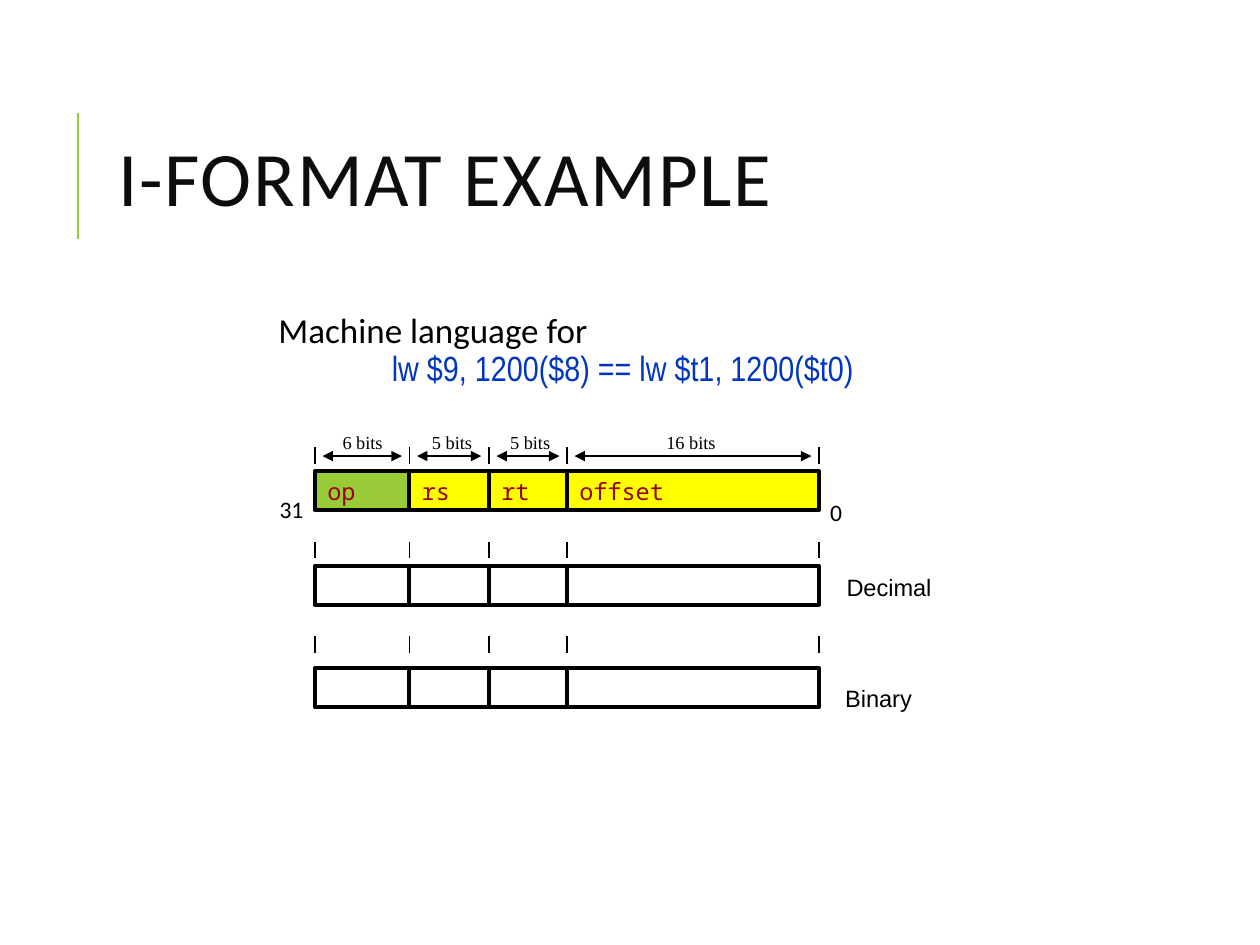
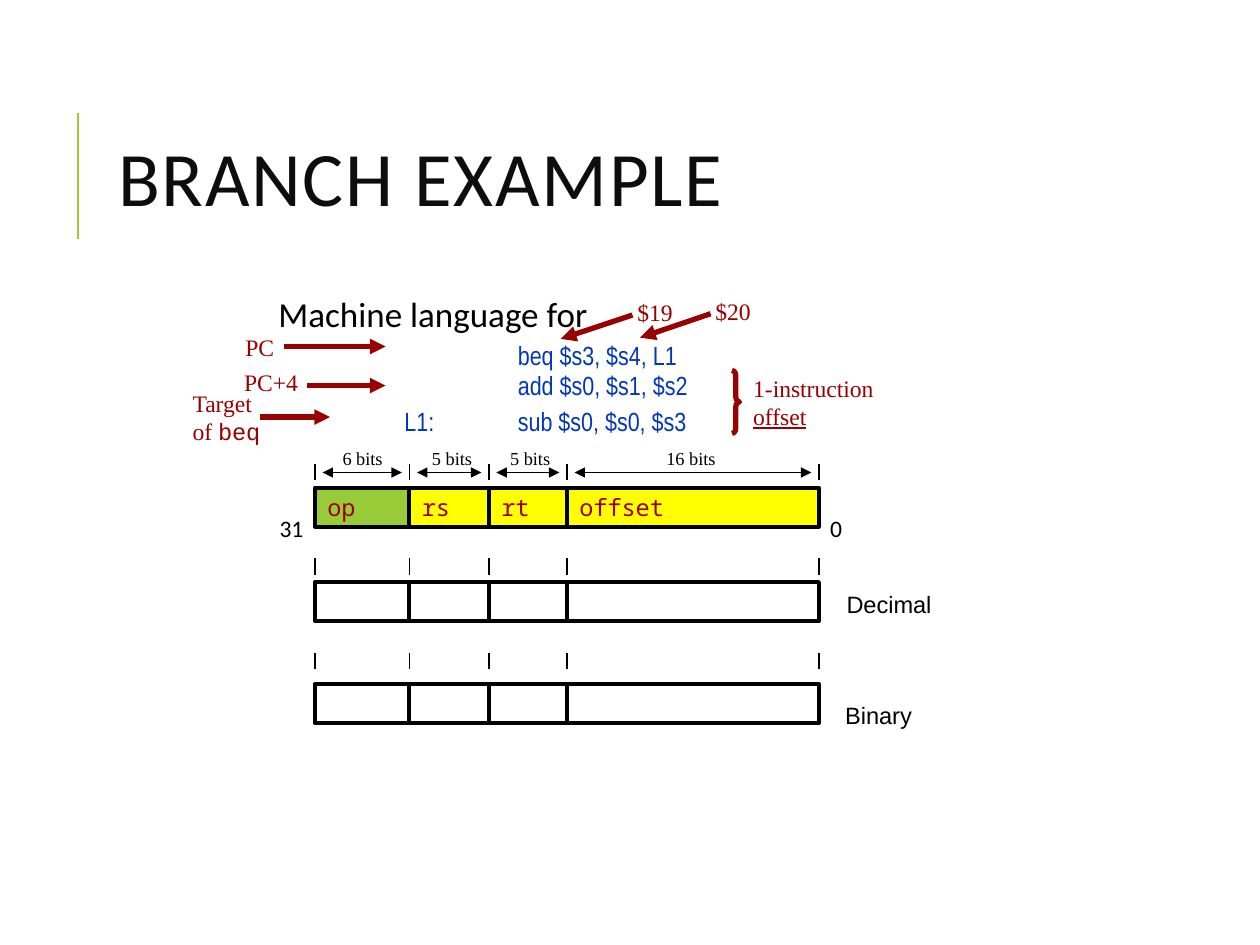
from dataclasses import dataclass
from itertools import pairwise

from lxml.etree import SubElement
from pptx import Presentation
from pptx.dml.color import RGBColor
from pptx.enum.shapes import MSO_CONNECTOR as Connector, MSO_SHAPE as Preset
from pptx.enum.text import MSO_ANCHOR as Anchor, PP_ALIGN as Align
from pptx.oxml.ns import qn
from pptx.util import Inches, Pt

BLACK, WHITE, GREEN, YELLOW = "000000", "FFFFFF", "99CB38", "FFFF00"
TITLE_INK, CODE_BLUE, RED = "0D0D0D", "0237BC", "990000"
SERIF, MONO, NARROW, BODY = "Times New Roman", "Noto Sans Mono", "Arial Narrow", "Calibri"
CELL_HEIGHT = 0.31
TICK_ROW_GAP = 0.75


@dataclass(frozen=True)
class Field:
    """One bit field of the instruction word."""
    name: str
    bits: str
    left: float
    right: float
    bits_left: float
    bits_width: float = 0.52
    fill: str = YELLOW


@dataclass(frozen=True)
class Run:
    """A piece of a line that departs from the line's format."""
    text: str
    font: str | None = None
    underline: bool = False


@dataclass(frozen=True)
class CodeLine:
    """A line of assembly with its indent and exact line pitch."""
    text: str
    size: float
    pitch: float
    margin: float
    hanging: float = 0


@dataclass(frozen=True)
class Callout:
    """A red note and the arrow that leaves it."""
    lines: list
    box: tuple[float, float, float, float]
    start: tuple[float, float]
    end: tuple[float, float]


FIELDS = [
    Field("op", "6 bits", 2.5, 3.25, 2.62, fill=GREEN),
    Field("rs", "5 bits", 3.25, 3.88, 3.33),
    Field("rt", "5 bits", 3.88, 4.5, 3.95),
    Field("offset", "16 bits", 4.5, 6.5, 5.19, 0.62),
]
EDGES = [field.left for field in FIELDS] + [FIELDS[-1].right]

LOAD_CODE = [CodeLine("lw $9, 1200($8) == lw $t1, 1200($t0)", 20, 21.2, 1)]
BRANCH_CODE = [
    CodeLine("beq $s3, $s4, L1", 15, 20.2, 2),
    CodeLine("add $s0, $s1, $s2", 15, 17.1, 2),
    CodeLine("L1:\tsub $s0, $s0, $s3", 15, 20.6, 2, 0.9),
]
CALLOUTS = [
    Callout(["$19"], (4.96, 2.31, 0.49, 0.33), (5.02, 2.5), (4.45, 2.69)),
    Callout(["$20"], (5.58, 2.3, 0.49, 0.33), (5.64, 2.49), (5.08, 2.68)),
    Callout(["PC"], (1.85, 2.59, 0.43, 0.33), (2.25, 2.75), (3.06, 2.75)),
    Callout(["PC+4"], (1.84, 2.87, 0.64, 0.33), (2.44, 3.06), (3.06, 3.06)),
    Callout(["Target", [Run("of "), Run("beq", "Courier New")]],
            (1.43, 3.03, 0.75, 0.56), (2.06, 3.31), (2.62, 3.31)),
]


def colour(value: str) -> RGBColor:
    """Turn a hex string into a colour."""
    return RGBColor.from_string(value)


def write(frame, lines: list, *, size: float, font: str = BODY, ink: str = BLACK,
          anchor=Anchor.TOP, wrap: bool = False, spacing=None, tracking: int = 0) -> None:
    """Fill a text frame with left-aligned lines, each a string or a list of runs."""
    frame.word_wrap = wrap
    frame.vertical_anchor = anchor
    for number, line in enumerate(lines):
        paragraph = frame.add_paragraph() if number else frame.paragraphs[0]
        paragraph.alignment = Align.LEFT
        if spacing:
            paragraph.line_spacing = spacing
        for part in [Run(line)] if isinstance(line, str) else line:
            run = paragraph.add_run()
            run.text = part.text
            run.font.name = part.font or font
            run.font.size = Pt(size)
            run.font.color.rgb = colour(ink)
            if part.underline:
                run.font.underline = True
            if tracking:
                run.font._element.set("spc", str(tracking))


def label(slide, box: tuple[float, float, float, float], lines: list, **style):
    """Add a text box and return its frame."""
    frame = slide.shapes.add_textbox(*map(Inches, box)).text_frame
    write(frame, lines, **style)
    return frame


def line(slide, start: tuple[float, float], end: tuple[float, float], ink: str = BLACK,
         weight: float = 1, arrows: tuple[str, ...] = ()) -> None:
    """Draw a straight line with optional arrowheads."""
    link = slide.shapes.add_connector(Connector.STRAIGHT, *map(Inches, start + end))
    link.line.color.rgb = colour(ink)
    link.line.width = Pt(weight)
    outline = link.line._get_or_add_ln()
    for tag in arrows:
        SubElement(outline, qn(f"a:{tag}"), type="triangle")
    SubElement(link._element.spPr, qn("a:effectLst"))


def cell(slide, field: Field, top: float, fill: str):
    """Draw one bordered cell of the instruction word."""
    box = (field.left, top, field.right - field.left, CELL_HEIGHT)
    shape = slide.shapes.add_shape(Preset.RECTANGLE, *map(Inches, box))
    shape.shadow.inherit = False
    shape.fill.solid()
    shape.fill.fore_color.rgb = colour(fill)
    shape.line.color.rgb = colour(BLACK)
    shape.line.width = Pt(2.25)
    return shape


def instruction_word(slide, top: float, first_bit_top: float, last_bit_top: float) -> None:
    """Draw the named fields with bit widths, and the decimal and binary rows below."""
    for field in FIELDS:
        named = cell(slide, field, top, field.fill)
        write(named.text_frame, [field.name], size=13.5, font=MONO, ink=RED,
              anchor=Anchor.MIDDLE, wrap=True)
        for offset in (0.75, 1.56):
            cell(slide, field, top + offset, WHITE)
        label(slide, (field.bits_left, top - 0.37, field.bits_width, 0.28), [field.bits],
              size=10.5, font=SERIF)
    for left, right in pairwise(EDGES):
        line(slide, (left + 0.06, top - 0.12), (right - 0.06, top - 0.12),
             arrows=("headEnd", "tailEnd"))
    for row in range(3):
        base = top + row * TICK_ROW_GAP
        for edge in EDGES:
            line(slide, (edge, base - 0.06), (edge, base - 0.19))
    label(slide, (6.62, top + 0.76, 0.89, 0.33), ["Decimal"], size=13.5, font="Arial")
    label(slide, (6.61, top + 1.64, 0.74, 0.33), ["Binary"], size=13.5, font="Arial")
    label(slide, (2.12, first_bit_top, 0.41, 0.33), ["31"], size=13.5)
    label(slide, (6.49, last_bit_top, 0.31, 0.33), ["0"], size=13.5)


def assembly(slide, top: float, code: list[CodeLine]) -> None:
    """Write the lead-in and the assembly code below it."""
    frame = label(slide, (2.06, top, 5.88, 1.2), ["Machine language for"],
                  size=20, wrap=True, spacing=0.9)
    frame.margin_left = frame.margin_right = Inches(0.05)
    frame.margin_top = frame.margin_bottom = Inches(0.05)
    indent(frame.paragraphs[0], 0.1)
    for row in code:
        paragraph = frame.add_paragraph()
        paragraph.line_spacing = Pt(row.pitch)
        indent(paragraph, row.margin, row.hanging)
        run = paragraph.add_run()
        run.text = row.text
        run.font.name, run.font.size = NARROW, Pt(row.size)
        run.font.color.rgb = colour(CODE_BLUE)


def indent(paragraph, margin: float, hanging: float = 0) -> None:
    """Set the left margin and hanging indent of a paragraph."""
    properties = paragraph._p.get_or_add_pPr()
    properties.set("marL", str(Inches(margin)))
    properties.set("indent", str(-Inches(hanging)))


def titled_slide(deck, title: str):
    """Add a slide with the green rule and the title."""
    slide = deck.slides.add_slide(deck.slide_layouts[6])
    line(slide, (0.62, 1.9), (0.62, 0.9), GREEN, 1.5)
    label(slide, (0.84, 0.64, 7.97, 1.64), [title], size=44, ink=TITLE_INK,
          anchor=Anchor.MIDDLE, wrap=True, spacing=0.8, tracking=100)
    return slide


def branch_notes(slide) -> None:
    """Point out the registers, the counter and the branch distance."""
    note = dict(size=13.5, font=SERIF, ink=RED, anchor=Anchor.MIDDLE)
    for callout in CALLOUTS:
        line(slide, callout.start, callout.end, RED, 3, ("tailEnd",))
        label(slide, callout.box, callout.lines, **note)
    brace = slide.shapes.add_shape(Preset.RIGHT_BRACE, *map(Inches, (5.81, 2.94, 0.06, 0.5)))
    brace.shadow.inherit = False
    brace.adjustments[0] = 0.67
    brace.fill.background()
    brace.line.color.rgb = colour(RED)
    brace.line.width = Pt(3)
    label(slide, (5.88, 2.91, 1.17, 0.56),
          ["1-instruction", [Run("offset", underline=True)]], **note)


def main() -> None:
    """Build both slides and save the deck."""
    deck = Presentation()
    deck.slide_width, deck.slide_height = Inches(10), Inches(7.5)

    load = titled_slide(deck, "I-FORMAT EXAMPLE")
    assembly(load, 2.44, LOAD_CODE)
    instruction_word(load, 3.74, 3.88, 3.9)

    branch = titled_slide(deck, "BRANCH EXAMPLE")
    assembly(branch, 2.31, BRANCH_CODE)
    instruction_word(branch, 3.87, 4.03, 4.03)
    branch_notes(branch)

    deck.save("out.pptx")


if __name__ == "__main__":
    main()
